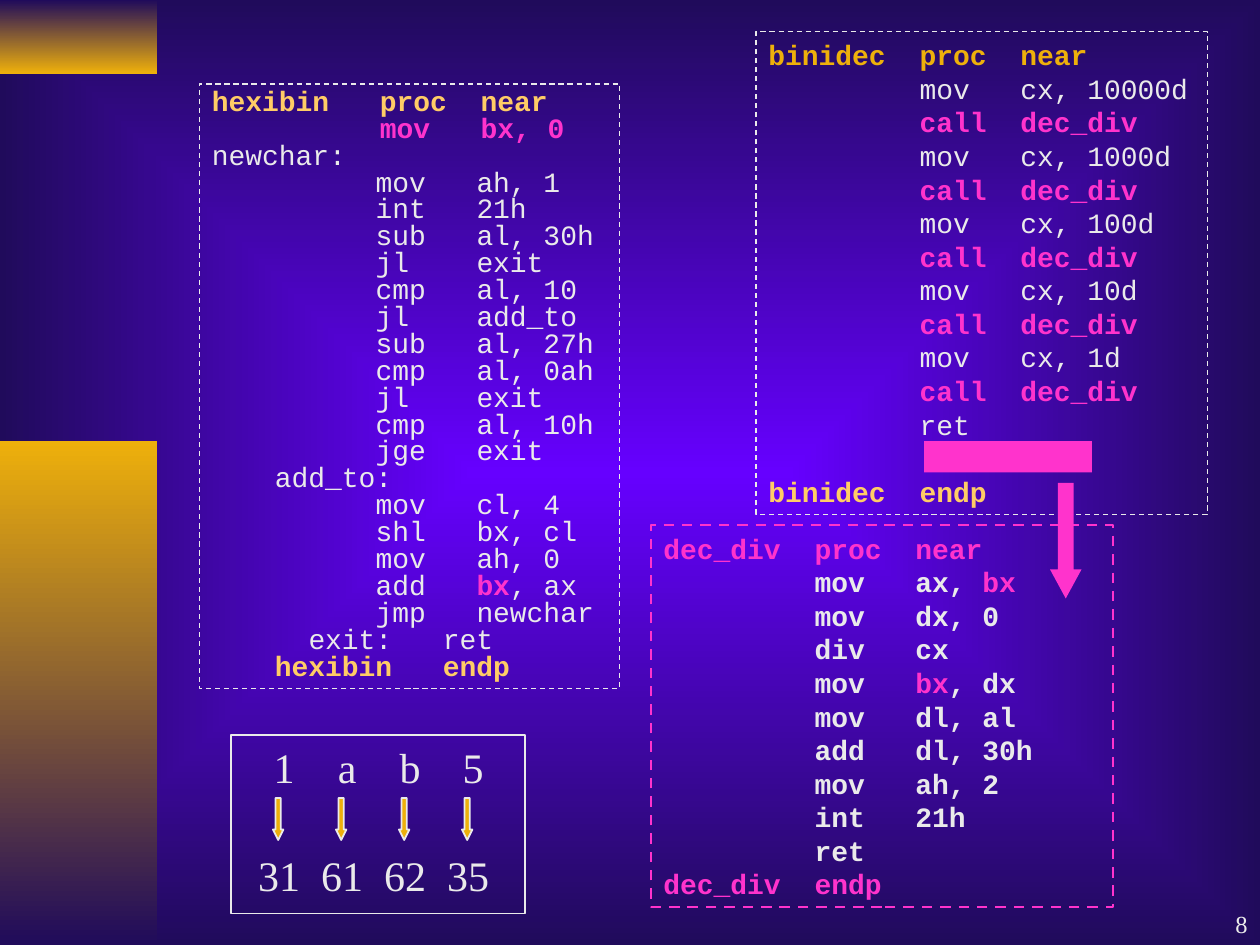
from lxml import etree
from pptx import Presentation, util as u
from pptx.dml.color import RGBColor
from pptx.enum import dml, shapes, text
from pptx.oxml import ns

VIOLET = RGBColor(0x66, 0x00, 0xFF)
NAVY = RGBColor(0x20, 0x0B, 0x5B)
GOLD = RGBColor(0xEE, 0xB0, 0x0B)
SAND = RGBColor(0xFF, 0xCC, 0x66)
PINK = RGBColor(0xFF, 0x33, 0xCC)
PALE = RGBColor(0xEA, 0xEA, 0xEA)

CELL = u.Inches(1) // 12
CHARACTER = 0.8 / 6
CODE_FONT = "Courier New"
TEXT_FONT = "Times New Roman"

OPERATION_STOPS = (9.75, 15.75)
HEXIBIN = [
    ((10, 16), SAND, ["hexibin\tproc\tnear"]),
    ((10, 16), PINK, ["\tmov\tbx, 0"]),
    ((), PALE, ["newchar:"]),
    (OPERATION_STOPS, PALE, [
        "\tmov\tah, 1", "\tint\t21h", "\tsub\tal, 30h", "\tjl\texit",
        "\tcmp\tal, 10", "\tjl\tadd_to", "\tsub\tal, 27h", "\tcmp\tal, 0ah",
        "\tjl\texit", "\tcmp\tal, 10h", "\tjge\texit"]),
    ((3.75,), PALE, ["\tadd_to:"]),
    (OPERATION_STOPS, PALE, [
        "\tmov\tcl, 4", "\tshl\tbx, cl", "\tmov\tah, 0",
        "\tadd\t*bx*, ax", "\tjmp\tnewchar"]),
    ((5.75, 13.75), PALE, ["\texit:\tret"]),
    ((3.75, 13.75), SAND, ["\thexibin\tendp"]),
]

DIVISORS = ["10000d", "1000d", "100d", "10d", "1d"]
BINIDEC = [((9, 15), GOLD, ["binidec\tproc\tnear"])]
for divisor in DIVISORS:
    BINIDEC.append(((9, 15), PALE, [f"\tmov\tcx, {divisor}", "*\tcall\tdec_div*"]))
BINIDEC += [((9, 15), PALE, ["\tret"]), ((9, 15), SAND, ["binidec\tendp"])]

DEC_DIV = [
    ((9, 15), PINK, ["dec_div\tproc\tnear"]),
    ((9, 15), PALE, [
        "\tmov\tax, *bx*", "\tmov\tdx, 0", "\tdiv\tcx", "\tmov\t*bx*, dx",
        "\tmov\tdl, al", "\tadd\tdl, 30h", "\tmov\tah, 2", "\tint\t21h", "\tret"]),
    ((9, 15), PINK, ["dec_div\tendp"]),
]


def cells(box):
    """Turn a box in grid columns and rows into slide lengths."""
    return [u.Emu(round(value * CELL)) for value in box]


def add_block(slide, kind, box, fill=None, line=None, width=1, dash=None):
    """Add a shape without shadow, with optional solid fill and outline."""
    shape = slide.shapes.add_shape(kind, *cells(box))
    shape.shadow.inherit = False
    if fill is None:
        shape.fill.background()
    else:
        shape.fill.solid()
        shape.fill.fore_color.rgb = fill
    if line is None:
        shape.line.fill.background()
    else:
        shape.line.color.rgb = line
        shape.line.width = u.Pt(width)
        shape.line.dash_style = dash
    return shape


def set_gradient(fill, start, end):
    """Give a fill a two-colour gradient."""
    fill.gradient()
    for stop, color, position in zip(fill.gradient_stops, (start, end), (0, 1)):
        stop.color.rgb = color
        stop.position = position


def set_tabs(paragraph, stops, alignment="l"):
    """Set tab stops, given in inches, on a paragraph."""
    properties = paragraph._p.get_or_add_pPr()
    tab_list = etree.Element(ns.qn("a:tabLst"))
    for stop in stops:
        etree.SubElement(tab_list, ns.qn("a:tab"), pos=str(u.Inches(stop)), algn=alignment)
    defaults = properties.find(ns.qn("a:defRPr"))
    if defaults is None:
        properties.append(tab_list)
    else:
        defaults.addprevious(tab_list)


def format_paragraph(paragraph, font, size, spacing=None):
    """Set the font and line spacing of a left-aligned paragraph."""
    paragraph.alignment = text.PP_ALIGN.LEFT
    paragraph.font.name = font
    paragraph.font.size = u.Pt(size)
    paragraph.font.color.rgb = PALE
    if spacing:
        paragraph.line_spacing = u.Pt(spacing)


def background(slide):
    """Paint the slide with a gradient that spreads from its centre."""
    set_gradient(slide.background.fill, VIOLET, NAVY)
    gradient = slide.element.find(".//" + ns.qn("a:gradFill"))
    gradient.remove(gradient.find(ns.qn("a:lin")))
    path = etree.SubElement(gradient, ns.qn("a:path"), path="rect")
    etree.SubElement(path, ns.qn("a:fillToRect"), l="50000", t="50000", r="50000", b="50000")


def side_band(slide, box, start, end):
    """Add a vertical gradient band at the left edge."""
    band = add_block(slide, shapes.MSO_SHAPE.RECTANGLE, box)
    set_gradient(band.fill, start, end)
    band.fill.gradient_angle = 270


def code_panel(slide, box, sections, line=PALE, width=0.75, spacing=19.2, bold=False):
    """Add a dashed panel of code laid out on tab stops and return its paragraphs."""
    panel = add_block(slide, shapes.MSO_SHAPE.RECTANGLE, box, line=line,
                      width=width, dash=dml.MSO_LINE.DASH)
    frame = panel.text_frame
    frame.vertical_anchor = text.MSO_ANCHOR.TOP
    rows = [(stops, tone, row) for stops, tone, lines in sections for row in lines]
    for index, (stops, tone, row) in enumerate(rows):
        paragraph = frame.add_paragraph() if index else frame.paragraphs[0]
        format_paragraph(paragraph, CODE_FONT, 16, spacing)
        set_tabs(paragraph, [stop * CHARACTER for stop in stops])
        for part, piece in enumerate(row.split("*")):
            if piece:
                run = paragraph.add_run()
                run.text = piece
                color = PINK if part % 2 else tone
                run.font.color.rgb = color
                run.font.bold = bold or color != PALE
    return frame.paragraphs


def call_marker(slide, box):
    """Add the bar and the arrow leading to the called procedure."""
    left, top, width, height = box
    add_block(slide, shapes.MSO_SHAPE.RECTANGLE, (left, top, width, 3), PINK)
    arrow = add_block(slide, shapes.MSO_SHAPE.DOWN_ARROW,
                      (left + width - 4, top + 4, 3, height - 4), PINK)
    arrow.adjustments[1] = 0.92


def character_codes(slide, box):
    """Add the framed characters with arrows to their codes."""
    left, top, width, height = box
    label = slide.shapes.add_textbox(*cells((left + 1, top, width - 1, height - 0.7)))
    frame = label.text_frame
    frame.word_wrap = True
    for index, (values, offset) in enumerate([("1ab5", 0.24), (("31", "61", "62", "35"), 0.2)]):
        paragraph = frame.add_paragraph() if index else frame.paragraphs[0]
        format_paragraph(paragraph, TEXT_FONT, 24, 28.8)
        paragraph.space_before = u.Pt(33.2 * index)
        set_tabs(paragraph, [offset + 0.5 * column for column in range(4)], "ctr")
        paragraph.add_run().text = "".join("\t" + value for value in values)
    for column in range(4):
        arrow = add_block(slide, shapes.MSO_SHAPE.DOWN_ARROW,
                          (left + 4 + 6 * column, top + 6, 1, 4), GOLD, PALE)
        arrow.adjustments[1] = 1
    add_block(slide, shapes.MSO_SHAPE.RECTANGLE, box, line=PALE)


def page_number(slide, box, number):
    """Add the slide number at the bottom right of its box."""
    frame = slide.shapes.add_textbox(*cells(box)).text_frame
    frame.word_wrap = True
    frame.vertical_anchor = text.MSO_ANCHOR.BOTTOM
    paragraph = frame.paragraphs[0]
    format_paragraph(paragraph, TEXT_FONT, 14)
    paragraph.alignment = text.PP_ALIGN.RIGHT
    paragraph.add_run().text = number


def main():
    """Build the slide and save it."""
    presentation = Presentation()
    presentation.slide_width, presentation.slide_height = cells((120, 90))
    slide = presentation.slides.add_slide(presentation.slide_layouts[6])
    background(slide)
    side_band(slide, (0, 0, 15, 7), NAVY, GOLD)
    side_band(slide, (0, 42, 15, 48), GOLD, NAVY)
    code_panel(slide, (19, 8, 40, 57.6), HEXIBIN, spacing=15.36)
    binidec_rows = code_panel(slide, (72, 3, 43, 46), BINIDEC)
    binidec_rows[-1].space_before = u.Pt(19.2)
    code_panel(slide, (62, 50, 44, 36.4), DEC_DIV, PINK, 1.5, bold=True)
    call_marker(slide, (88, 42, 16, 15))
    character_codes(slide, (22, 70, 28, 17))
    page_number(slide, (95, 84, 25, 6), "8")
    presentation.save("out.pptx")


if __name__ == "__main__":
    main()
